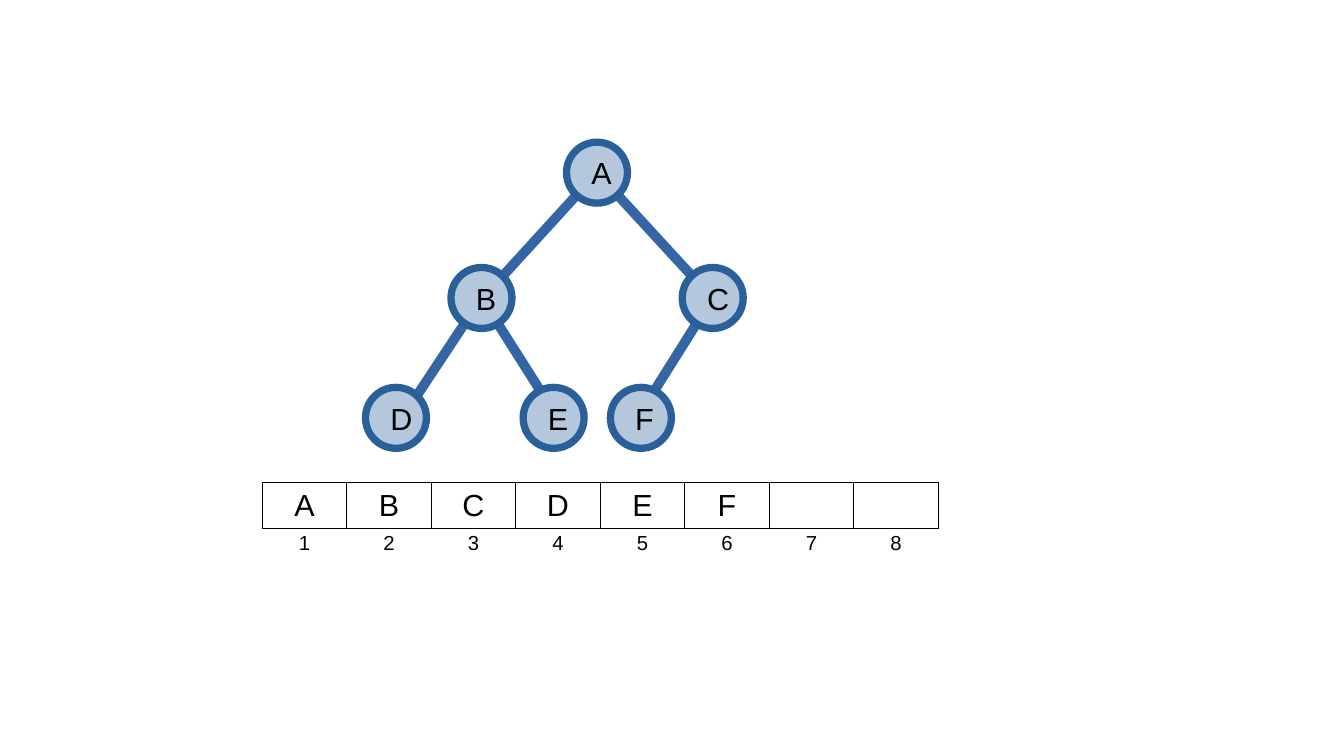
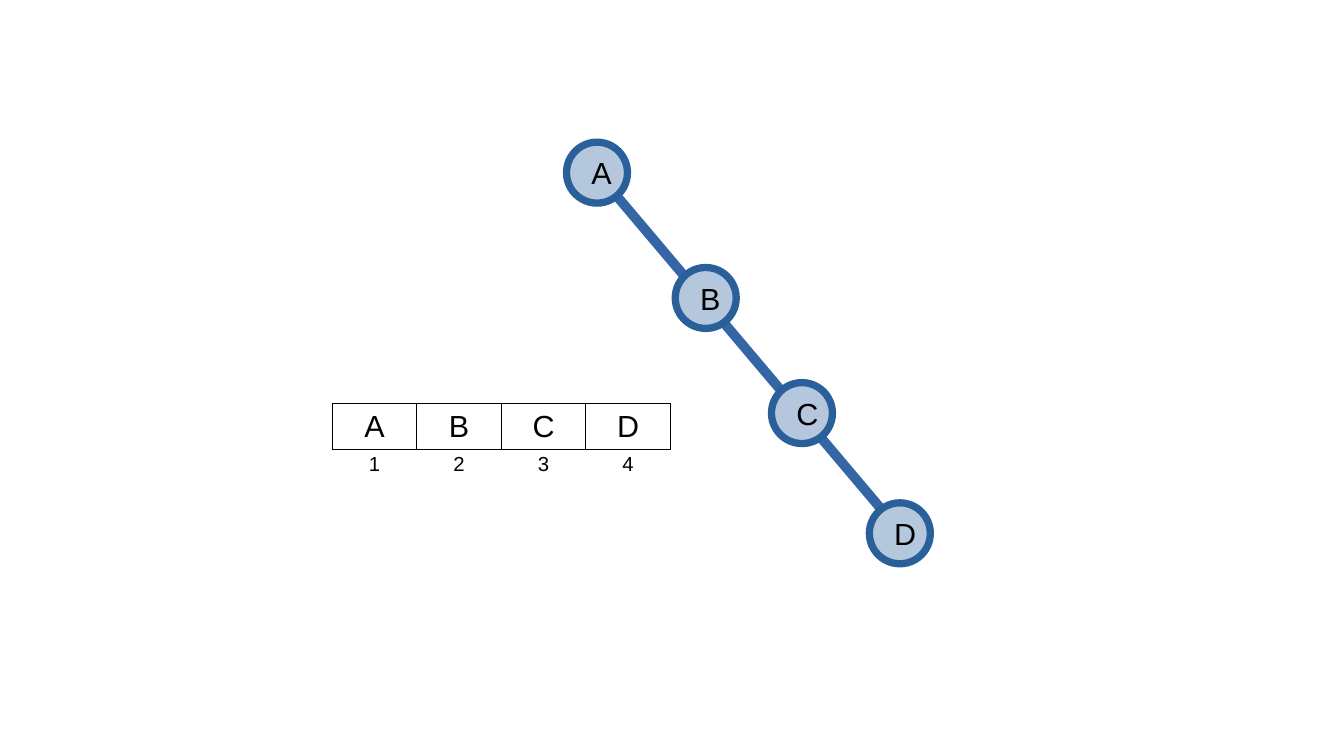
import pptx
import pptx.dml.color
import pptx.enum.shapes
import pptx.enum.text
import pptx.oxml.ns
import pptx.util
from lxml import etree

Pt = pptx.util.Pt
qn = pptx.oxml.ns.qn

# Shared look
FONT = "Arial"
TEXT, EDGE, NODE_FILL, NODE_LINE = "000000", "3465A4", "B4C7DC", "2A6099"
DIAMETER = 36
CELL_WIDTH, CELL_HEIGHT = 49.9, 27.2
INDEX_OFFSET = 22.4
BORDER_WIDTH = 0.57
NO_GRID_STYLE = "{2D5ABB26-0587-4C30-8999-92F81FD0307C}"

# Node centres, and edges as (start node, end point inside the last node)
FULL_TREE = {
    "A": (352.5, 102), "B": (284.3, 176), "C": (420.8, 176),
    "D": (233.8, 246.8), "E": (326.9, 246.8), "F": (378.4, 246.8),
}
FULL_EDGES = [("A", (420.5, 176)), ("A", (285, 176)), ("B", (234, 252)),
              ("B", (332.5, 252)), ("C", (373, 252))]
CHAIN_TREE = {"A": (352.5, 102), "B": (416.7, 176),
              "C": (473.5, 244), "D": (531.3, 315)}
CHAIN_EDGES = [("A", (540, 324))]


def colour(hex_string):
    return pptx.dml.color.RGBColor.from_string(hex_string)


def write(frame, text, size):
    """Put one centred line of text in a frame."""
    para = frame.paragraphs[0]
    para.alignment = pptx.enum.text.PP_ALIGN.CENTER
    if text:
        span = para.add_run()
        span.text = text
        span.font.name = FONT
        span.font.size = Pt(size)
        span.font.color.rgb = colour(TEXT)


def add_edge(page, start, end):
    edge = page.shapes.add_connector(
        pptx.enum.shapes.MSO_CONNECTOR.STRAIGHT, *map(Pt, (*start, *end)))
    edge.line.color.rgb = colour(EDGE)
    edge.line.width = Pt(5.75)
    etree.SubElement(edge._element.spPr, qn("a:effectLst"))


def add_node(page, name, centre):
    left, top = (value - DIAMETER / 2 for value in centre)
    node = page.shapes.add_shape(
        pptx.enum.shapes.MSO_SHAPE.OVAL,
        Pt(left), Pt(top), Pt(DIAMETER), Pt(DIAMETER))
    node.shadow.inherit = False
    node.fill.solid()
    node.fill.fore_color.rgb = colour(NODE_FILL)
    node.line.color.rgb = colour(NODE_LINE)
    node.line.width = Pt(4.31)
    frame = node.text_frame
    frame.word_wrap = True
    frame.vertical_anchor = pptx.enum.text.MSO_ANCHOR.MIDDLE
    frame.margin_left = frame.margin_right = Pt(9.4)
    frame.margin_top = frame.margin_bottom = Pt(5.8)
    write(frame, name, 18)


def add_tree(page, nodes, edges):
    for start, end in edges:
        add_edge(page, nodes[start], end)
    for name, centre in nodes.items():
        add_node(page, name, centre)


def add_borders(cell):
    properties = cell._tc.get_or_add_tcPr()
    for side in ("a:lnL", "a:lnR", "a:lnT", "a:lnB"):
        line = etree.SubElement(properties, qn(side), w=str(int(Pt(BORDER_WIDTH))))
        fill = etree.SubElement(line, qn("a:solidFill"))
        etree.SubElement(fill, qn("a:srgbClr"), val=TEXT)


def add_row(page, left, top, labels, size, bordered):
    """Add a table of one row."""
    table = page.shapes.add_table(
        1, len(labels), Pt(left), Pt(top),
        Pt(CELL_WIDTH * len(labels)), Pt(CELL_HEIGHT)).table
    table.first_row = table.horz_banding = False
    table._tbl.tblPr.find(qn("a:tableStyleId")).text = NO_GRID_STYLE
    for column, cell, label in zip(table.columns, table.iter_cells(), labels):
        column.width = Pt(CELL_WIDTH)
        if bordered:
            add_borders(cell)
        cell.fill.background()
        cell.vertical_anchor = pptx.enum.text.MSO_ANCHOR.MIDDLE
        cell.margin_left = cell.margin_right = Pt(2.8)
        cell.margin_top = cell.margin_bottom = Pt(2.5)
        write(cell.text_frame, label, size)


def add_array(page, left, top, values):
    """Add the array cells with their indices, counted from 1, below."""
    indices = [str(number) for number in range(1, len(values) + 1)]
    add_row(page, left, top, values, 18, True)
    add_row(page, left, top + INDEX_OFFSET, indices, 12, False)


def main():
    deck = pptx.Presentation()
    deck.slide_width, deck.slide_height = Pt(793.5), Pt(446.5)
    blank = deck.slide_layouts[6]

    # Complete binary tree
    page = deck.slides.add_slide(blank)
    add_tree(page, FULL_TREE, FULL_EDGES)
    add_array(page, 154.8, 285, [*FULL_TREE, "", ""])

    # Chain of right children
    page = deck.slides.add_slide(blank)
    add_tree(page, CHAIN_TREE, CHAIN_EDGES)
    add_array(page, 196.2, 238.3, list(CHAIN_TREE))

    deck.save("out.pptx")


if __name__ == "__main__":
    main()
